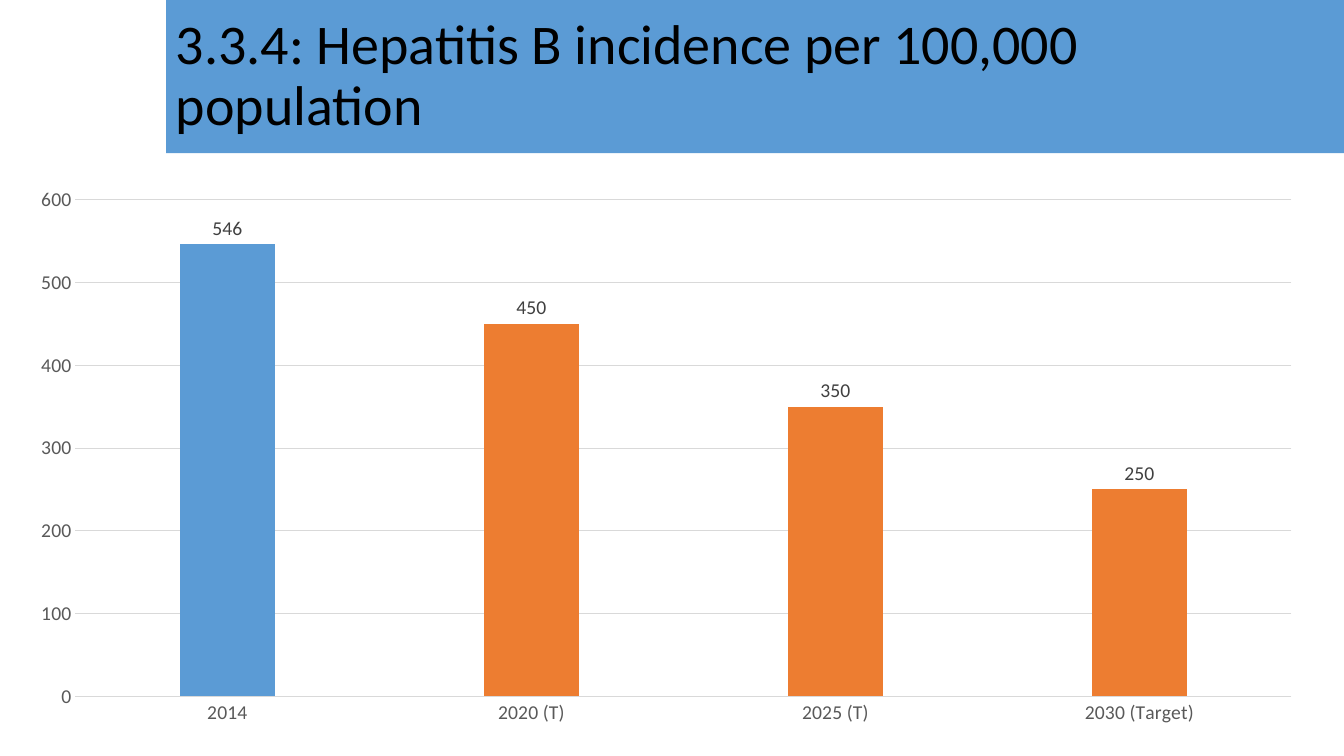
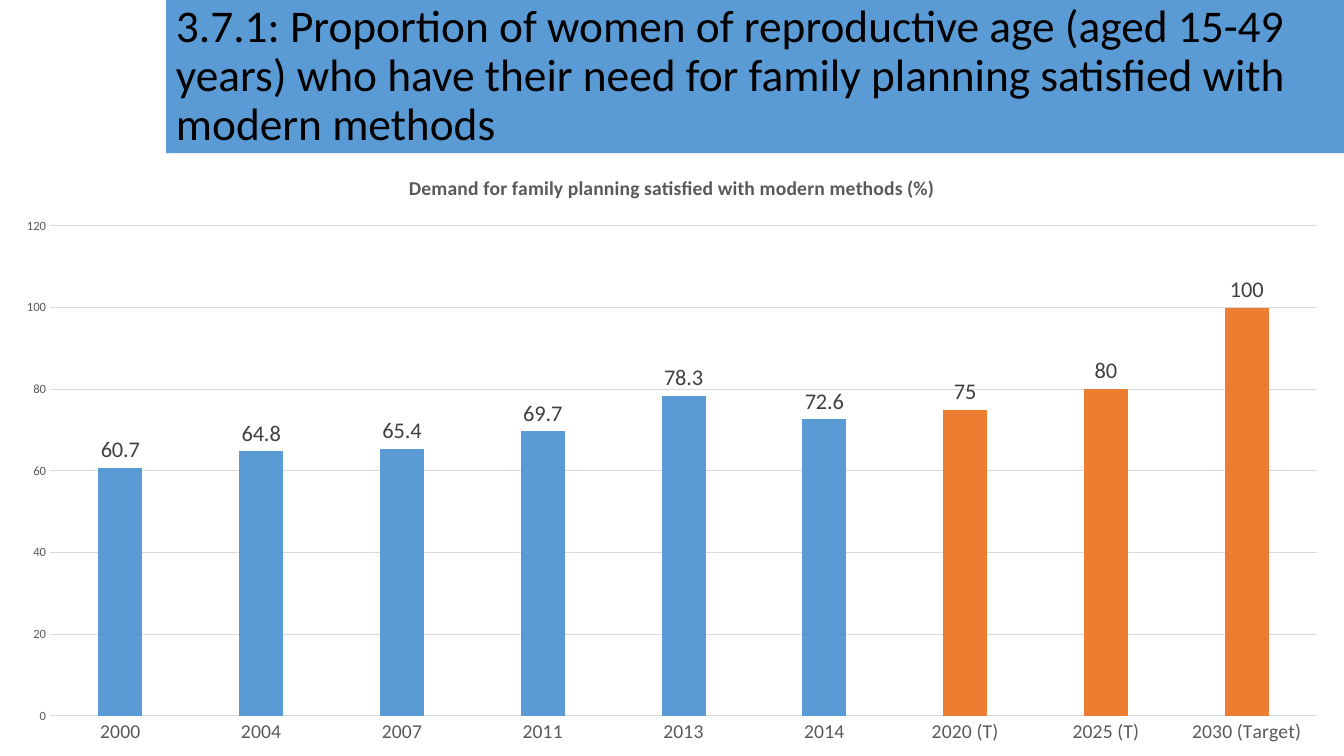
"""Build two health indicator slides, each with a title band and a column chart."""
import pptx
import pptx.chart.data
import pptx.dml.color
import pptx.enum.chart
import pptx.enum.shapes
import pptx.enum.text
import pptx.util

Pt = pptx.util.Pt
RGB = pptx.dml.color.RGBColor
BLUE = RGB(0x5B, 0x9B, 0xD5)
ORANGE = RGB(0xED, 0x7D, 0x31)
BLACK = RGB(0, 0, 0)
DARK = RGB(0x40, 0x40, 0x40)
GRAY = RGB(0x59, 0x59, 0x59)
LIGHT = RGB(0xD9, 0xD9, 0xD9)
FACE = "Calibri"

SLIDES = [
    dict(title="3.3.4: Hepatitis B incidence per 100,000 population", size=40,
         box=(10.8, 126, 930.24, 399.6), head=None, top=600, step=100,
         ticks=14, labels=14, past=1,
         data={"2014": 546, "2020 (T)": 450, "2025 (T)": 350, "2030 (Target)": 250}),
    dict(title="3.7.1: Proportion of women of reproductive age (aged 15-49 years) "
               "who have their need for family planning satisfied with modern methods",
         size=32.4, box=(0, 109.44, 960, 430.56),
         head="Demand for family planning satisfied with modern methods (%)",
         top=120, step=20, ticks=9, labels=16, past=6,
         data={"2000": 60.7, "2004": 64.8, "2007": 65.4, "2011": 69.7, "2013": 78.3,
               "2014": 72.6, "2020 (T)": 75, "2025 (T)": 80, "2030 (Target)": 100}),
]


def style(font, size, color, bold=False):
    font.name = FACE
    font.size = Pt(size)
    font.bold = bold
    font.color.rgb = color


deck = pptx.Presentation()
deck.slide_width, deck.slide_height = Pt(960), Pt(540)

for item in SLIDES:
    slide = deck.slides.add_slide(deck.slide_layouts[6])

    band = slide.shapes.add_shape(pptx.enum.shapes.MSO_SHAPE.RECTANGLE,
                                  Pt(118.6), Pt(0), Pt(841.4), Pt(109.44))
    band.shadow.inherit = False
    band.fill.solid()
    band.fill.fore_color.rgb = BLUE
    band.line.fill.background()
    frame = band.text_frame
    frame.word_wrap = True
    frame.vertical_anchor = pptx.enum.text.MSO_ANCHOR.MIDDLE
    para = frame.paragraphs[0]
    para.alignment = pptx.enum.text.PP_ALIGN.LEFT
    para.line_spacing = 0.9
    run = para.add_run()
    run.text = item["title"]
    style(run.font, item["size"], BLACK)

    data = pptx.chart.data.CategoryChartData()
    data.categories = list(item["data"])
    data.add_series("Series 1", list(item["data"].values()))
    chart = slide.shapes.add_chart(pptx.enum.chart.XL_CHART_TYPE.COLUMN_CLUSTERED,
                                   *map(Pt, item["box"]), data).chart
    style(chart.font, 10, BLACK)
    chart.has_legend = False
    chart.has_title = bool(item["head"])
    if item["head"]:
        run = chart.chart_title.text_frame.paragraphs[0].add_run()
        run.text = item["head"]
        style(run.font, 14, GRAY, True)
        chart.chart_title.include_in_layout = False

    years, scale = chart.category_axis, chart.value_axis
    for axis, size in (years, 14), (scale, item["ticks"]):
        axis.major_tick_mark = pptx.enum.chart.XL_TICK_MARK.NONE
        axis.minor_tick_mark = pptx.enum.chart.XL_TICK_MARK.NONE
        style(axis.tick_labels.font, size, GRAY)
    scale.minimum_scale = 0
    scale.maximum_scale = item["top"]
    scale.major_unit = item["step"]
    scale.has_major_gridlines = True
    scale.format.line.fill.background()
    for line in years.format.line, scale.major_gridlines.format.line:
        line.color.rgb = LIGHT
        line.width = Pt(0.75)

    plot = chart.plots[0]
    plot.vary_by_categories = False
    plot.gap_width = 219
    plot.overlap = -27
    bars = plot.series[0]
    bars.format.fill.solid()
    bars.format.fill.fore_color.rgb = BLUE
    for index in range(item["past"], len(item["data"])):
        fill = bars.points[index].format.fill
        fill.solid()
        fill.fore_color.rgb = ORANGE
    labels = bars.data_labels
    labels.show_value = True
    labels.position = pptx.enum.chart.XL_LABEL_POSITION.OUTSIDE_END
    style(labels.font, item["labels"], DARK)

deck.save("out.pptx")
